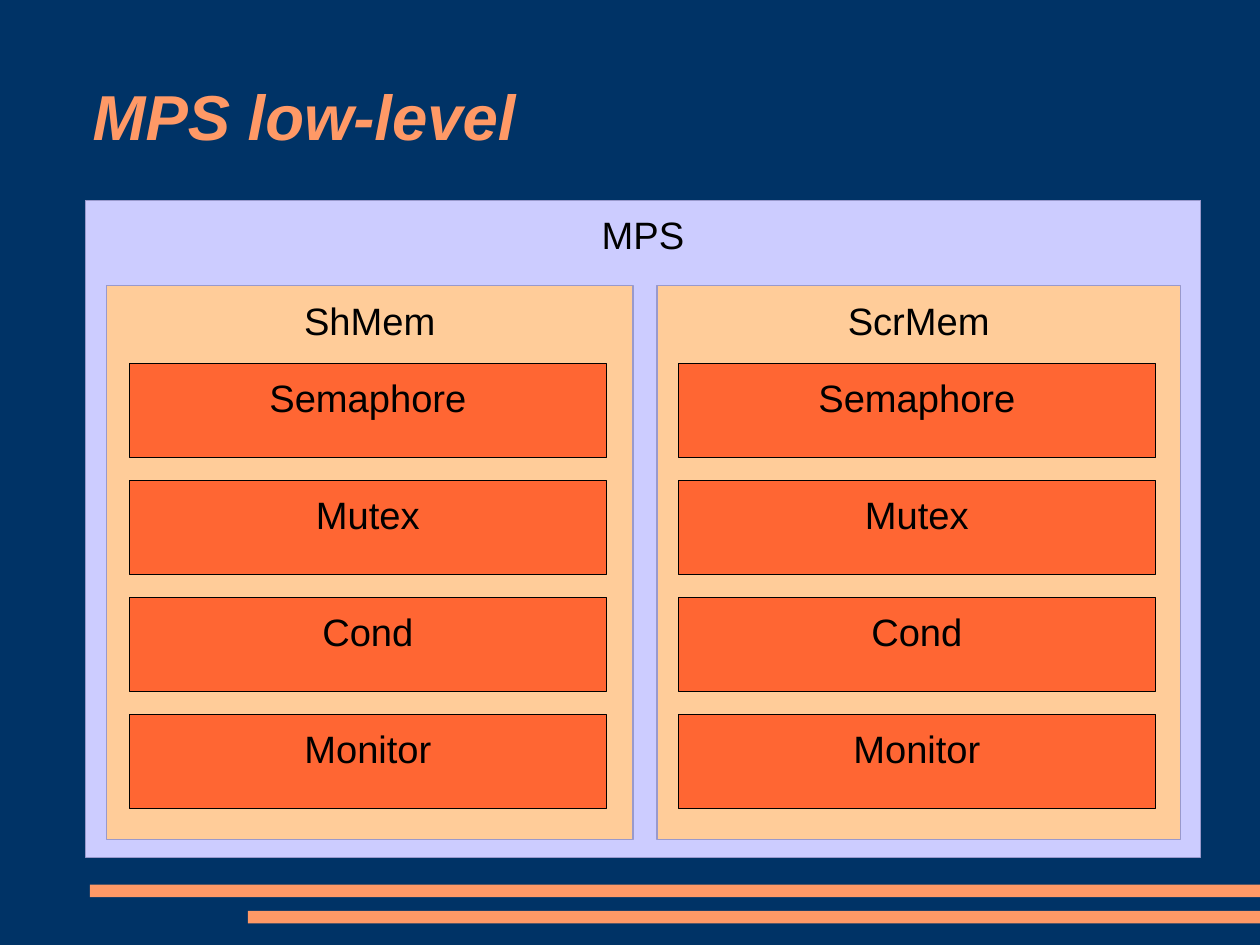
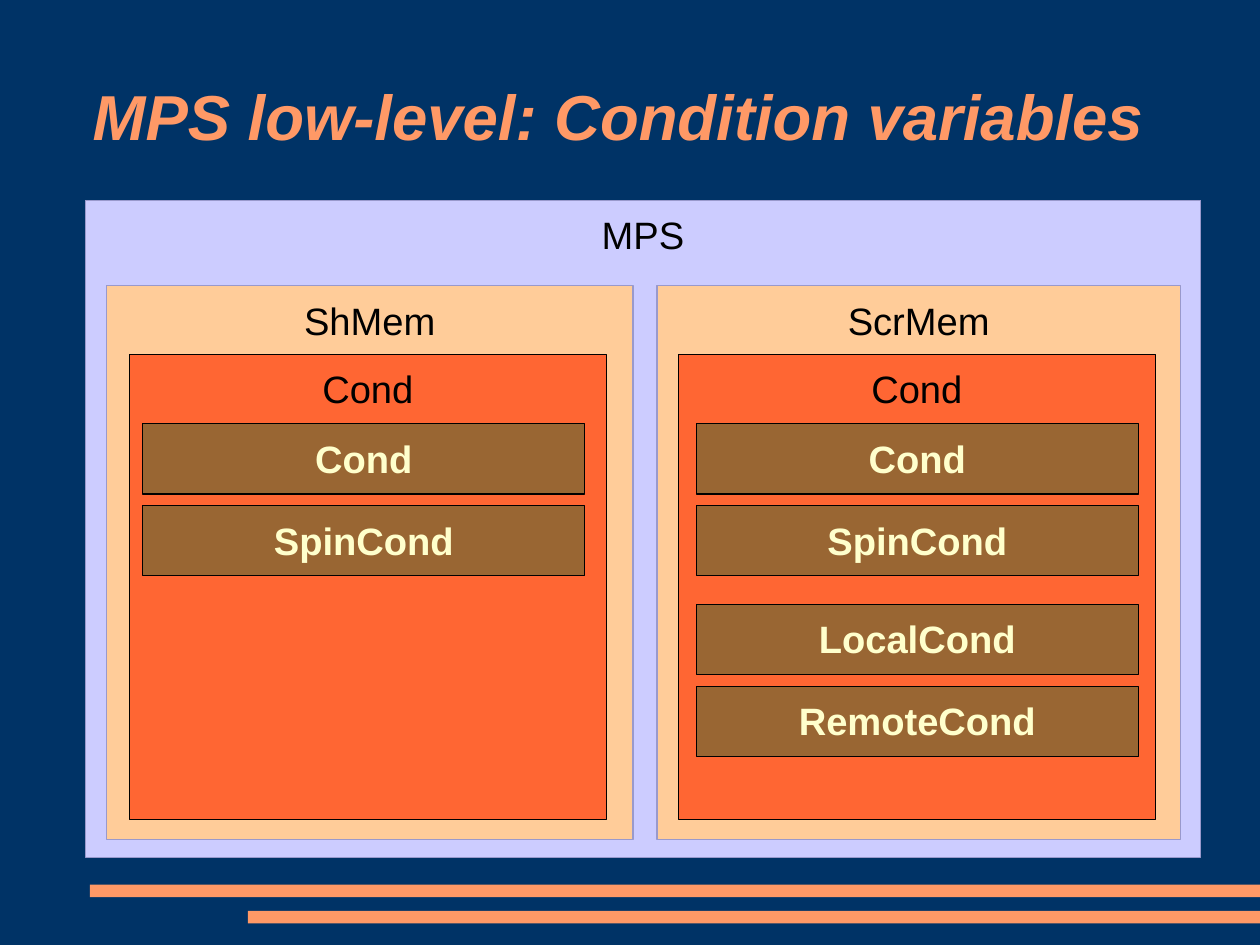
"""Two slides on the low-level layers of MPS."""
from dataclasses import dataclass

from pptx import Presentation
from pptx.dml.color import RGBColor
from pptx.enum.shapes import MSO_SHAPE
from pptx.enum.text import MSO_ANCHOR, MSO_AUTO_SIZE, PP_ALIGN
from pptx.util import Cm, Inches, Pt

COLS, ROWS = 28, 21


@dataclass(frozen=True)
class Theme:
    """Colours, font and type sizes of the deck."""
    back: str = "003366"
    accent: str = "FF9966"
    outer: str = "CCCCFF"
    panel: str = "FFCC99"
    block: str = "FF6633"
    inner: str = "996633"
    edge: str = "9999CC"
    ink: str = "000000"
    pale: str = "FFFFCC"
    font: str = "Arial"
    head: int = 40
    body: int = 24


@dataclass(frozen=True)
class Side:
    """Name and columns of one half of the diagram."""
    name: str
    left: float
    width: float
    block: float
    inner: float


THEME = Theme()
SIDES = (Side("ShMem", 2.36, 11.71, 2.87, 3.17),
         Side("ScrMem", 14.6, 11.63, 15.07, 15.47))


def paint(fill, color):
    """Give a fill one solid colour."""
    fill.solid()
    fill.fore_color.rgb = RGBColor.from_string(color)


def write(frame, text, size=THEME.body, color=THEME.ink, bold=False,
          italic=False, align=PP_ALIGN.CENTER, anchor=MSO_ANCHOR.TOP,
          inset=0.1):
    """Put one formatted paragraph into a text frame."""
    frame.word_wrap = True
    frame.auto_size = MSO_AUTO_SIZE.NONE
    frame.vertical_anchor = anchor
    frame.margin_left = frame.margin_right = frame.margin_top = Inches(inset)
    frame.margin_bottom = 0
    para = frame.paragraphs[0]
    para.alignment = align
    run = para.add_run()
    run.text = text
    font = run.font
    font.name, font.size = THEME.font, Pt(size)
    font.bold, font.italic = bold, italic
    font.color.rgb = RGBColor.from_string(color)


def box(slide, left, top, width, height, fill, text="", line=None, **style):
    """Draw a filled rectangle on the grid, with an optional label."""
    shape = slide.shapes.add_shape(
        MSO_SHAPE.RECTANGLE, Cm(left), Cm(top), Cm(width), Cm(height))
    shape.shadow.inherit = False
    paint(shape.fill, fill)
    if line:
        paint(shape.line.fill, line)
        shape.line.width = Pt(0)
    else:
        shape.line.fill.background()
    if text:
        write(shape.text_frame, text, **style)


def stack(slide, names, left, top, width, height, pitch, fill, **style):
    """Draw labelled boxes below one another at an equal pitch."""
    for row, name in enumerate(names):
        box(slide, left, top + row * pitch, width, height, fill, name,
            line=THEME.ink, **style)


def group(slide, names, left, top):
    """Draw a group of inner boxes."""
    stack(slide, names, left, top, 9.83, 1.56, 1.82, THEME.inner,
          color=THEME.pale, bold=True)


def base(deck, title):
    """Add a slide with its bands, title and outer diagram."""
    slide = deck.slides.add_slide(deck.slide_layouts[5])
    for left, top in ((2, 19.66), (5.51, 20.24)):
        box(slide, left, top, COLS - left, 0.28, THEME.accent)
    head = slide.shapes.title
    head.left, head.top = Cm(2.06), Cm(0.8)
    head.width, head.height = Cm(23.9), Cm(3.5)
    write(head.text_frame, title, size=THEME.head, color=THEME.accent,
          bold=True, italic=True, align=PP_ALIGN.LEFT,
          anchor=MSO_ANCHOR.MIDDLE, inset=0)
    box(slide, 1.9, 4.45, 24.78, 14.6, THEME.outer, "MPS", line=THEME.edge)
    for side in SIDES:
        box(slide, side.left, 6.35, side.width, 12.3, THEME.panel, side.name,
            line=THEME.edge)
    return slide


def levels(deck):
    """Build the overview of both memories."""
    slide = base(deck, "MPS low-level")
    names = ("Semaphore", "Mutex", "Cond", "Monitor")
    for side in SIDES:
        stack(slide, names, side.block, 8.07, 10.61, 2.1, 2.6, THEME.block)


def conds(deck):
    """Build the view of the condition variables."""
    slide = base(deck, "MPS low-level: Condition variables")
    for side in SIDES:
        box(slide, side.block, 7.87, 10.61, 10.34, THEME.block, "Cond",
            line=THEME.ink)
        group(slide, ("Cond", "SpinCond"), side.inner, 9.42)
    group(slide, ("LocalCond", "RemoteCond"), SIDES[1].inner, 13.43)


def main():
    """Build and save the deck."""
    deck = Presentation()
    deck.slide_width, deck.slide_height = Cm(COLS), Cm(ROWS)
    paint(deck.slide_master.background.fill, THEME.back)
    levels(deck)
    conds(deck)
    deck.save("out.pptx")


if __name__ == "__main__":
    main()
